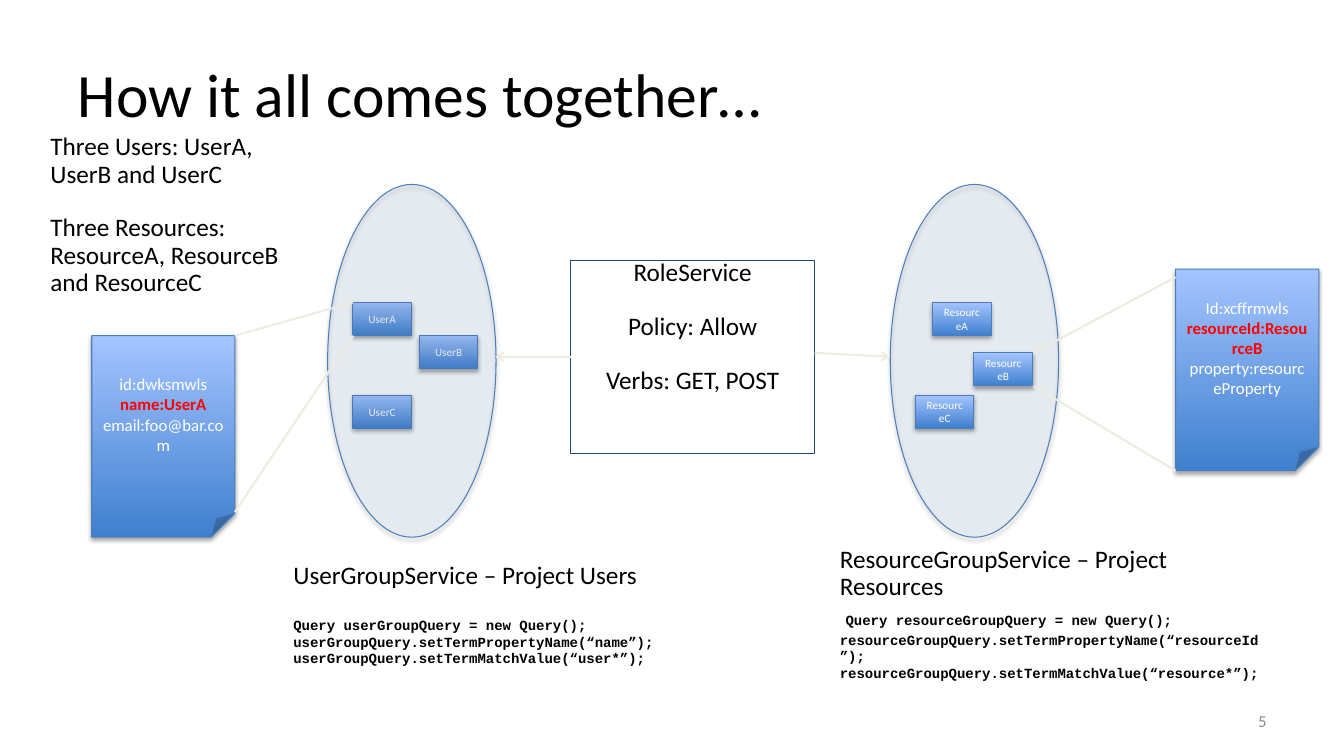
from collections import namedtuple

from lxml.etree import SubElement
from pptx import Presentation
from pptx.dml.color import RGBColor
from pptx.enum.shapes import MSO_CONNECTOR, MSO_SHAPE
from pptx.enum.text import MSO_ANCHOR, MSO_AUTO_SIZE, PP_ALIGN
from pptx.oxml.ns import qn
from pptx.util import Pt

EMU_PER_PX = 9144
TITLE_ONLY = 5
STRAIGHT = MSO_CONNECTOR.STRAIGHT
RECTANGLE, ELLIPSE, FOLDED = MSO_SHAPE.RECTANGLE, MSO_SHAPE.OVAL, MSO_SHAPE.FOLDED_CORNER
LEFT, CENTER, RIGHT = PP_ALIGN.LEFT, PP_ALIGN.CENTER, PP_ALIGN.RIGHT
TOP, MIDDLE = MSO_ANCHOR.TOP, MSO_ANCHOR.MIDDLE

BLACK = RGBColor(0x00, 0x00, 0x00)
WHITE = RGBColor(0xFF, 0xFF, 0xFF)
RED = RGBColor(0xFF, 0x00, 0x00)
GRAY = RGBColor(0x8C, 0x8C, 0x8C)
CREAM = RGBColor(0xEE, 0xEC, 0xE1)
NAVY = RGBColor(0x1F, 0x49, 0x7D)
BLUE = RGBColor(0x4F, 0x81, 0xBD)
OUTLINE = RGBColor(0x4B, 0x7E, 0xBC)
GRADIENT = (RGBColor(0x3F, 0x80, 0xCE), RGBColor(0xA4, 0xC4, 0xFF))

Font = namedtuple("Font", "size color name bold", defaults=("Calibri", False))
TITLE = Font(44, BLACK)
BODY = Font(18, BLACK)
CODE = Font(10, BLACK, "Courier New", True)
NODE = Font(8, WHITE)
FIELD = Font(12, WHITE)
KEY_FIELD = Font(12, RED, bold=True)
PAGE_NUMBER = Font(12, GRAY)

TIGHT = 0.9
BODY_GAP = 19
NODE_SIZE = (58, 33)
CARD_SIZE = (142, 200)
GROUP_SIZE = (167, 350)


def px(*lengths):
    return [length * EMU_PER_PX for length in lengths]


class DiagramPage:
    def __init__(self, deck):
        self.page = deck.slides.add_slide(deck.slide_layouts[TITLE_ONLY])

    def title(self, text, left, top, width, height):
        box = self.page.shapes.title
        box.left, box.top, box.width, box.height = px(left, top, width, height)
        box.text_frame.auto_size = MSO_AUTO_SIZE.NONE
        self.frame(box, MIDDLE)
        self.para(box, [(text, TITLE)])

    def frame(self, box, anchor, inset=None):
        frame = box.text_frame
        frame.word_wrap = True
        frame.vertical_anchor = anchor
        if inset is not None:
            frame.margin_left = frame.margin_right = inset
            frame.margin_top = frame.margin_bottom = inset

    def para(self, box, runs, align=LEFT, spacing=1.0, before=0):
        """Append a paragraph made of (text, font) runs."""
        para = box.text_frame.paragraphs[0]
        if para.runs:
            para = box.text_frame.add_paragraph()
        para.alignment = align
        para.line_spacing = spacing
        para.space_before = Pt(before)
        for text, font in runs:
            span = para.add_run()
            span.text = text
            span.font.size = Pt(font.size)
            span.font.name = font.name
            span.font.bold = font.bold
            span.font.color.rgb = font.color

    def text_box(self, left, top, width, height, anchor=TOP, inset=0):
        box = self.page.shapes.add_textbox(*px(left, top, width, height))
        self.frame(box, anchor, inset)
        return box

    def shape(self, kind, left, top, width, height, outline=OUTLINE):
        box = self.page.shapes.add_shape(kind, *px(left, top, width, height))
        box.shadow.inherit = False
        box.line.color.rgb = outline
        box.line.width = Pt(0.75)
        return box

    def shadow(self, box):
        effects = box.element.spPr.find(qn("a:effectLst"))
        shadow = SubElement(effects, qn("a:outerShdw"), blurRad=str(Pt(3.1)),
                            dist=str(Pt(1.8)), dir="5400000", rotWithShape="0")
        color = SubElement(shadow, qn("a:srgbClr"), val=str(BLACK))
        SubElement(color, qn("a:alpha"), val="35000")

    def gradient_shape(self, kind, left, top, size):
        box = self.shape(kind, left, top, *size)
        box.fill.gradient()
        box.fill.gradient_angle = 90
        for stop, color in zip(box.fill.gradient_stops, GRADIENT):
            stop.color.rgb = color
        self.shadow(box)
        self.frame(box, MIDDLE)
        return box

    def node(self, text, left, top):
        box = self.gradient_shape(RECTANGLE, left, top, NODE_SIZE)
        self.para(box, [(text, NODE)], CENTER)

    def card(self, fields, left, top):
        """Draw a folded note whose second field is the matched key."""
        box = self.gradient_shape(FOLDED, left, top, CARD_SIZE)
        box.text_frame.margin_bottom = px(25)[0]
        for text, font in zip(fields, (FIELD, KEY_FIELD, FIELD)):
            self.para(box, [(text, font)], CENTER)

    def group(self, left, top):
        """Draw the translucent ellipse around a set of nodes."""
        box = self.shape(ELLIPSE, left, top, *GROUP_SIZE)
        box.fill.solid()
        box.fill.fore_color.rgb = BLUE
        color = box.element.spPr.find(qn("a:solidFill")).find(qn("a:srgbClr"))
        SubElement(color, qn("a:alpha"), val="10000")
        self.shadow(box)

    def line(self, start, end, arrow=False):
        connector = self.page.shapes.add_connector(STRAIGHT, *px(*start, *end))
        connector.line.color.rgb = CREAM
        connector.line.width = Pt(1.5)
        properties = connector.element.spPr
        if arrow:
            SubElement(properties.find(qn("a:ln")), qn("a:tailEnd"), type="arrow")
        SubElement(properties, qn("a:effectLst"))


def main():
    deck = Presentation()
    deck.slide_width, deck.slide_height = px(1333, 750)
    diagram = DiagramPage(deck)

    diagram.title("How it all comes together…", 67, 30, 1200, 125)
    number = diagram.text_box(955, 695, 311, 40, MIDDLE, inset=px(10)[0])
    diagram.para(number, [("5", PAGE_NUMBER)], RIGHT)

    for name, left, top in (("UserA", 350, 300), ("UserB", 416, 333), ("UserC", 350, 392)):
        diagram.node(name, left, top)
    for left in (325, 883):
        diagram.group(left, 183)
    for name, left, top in (("ResourceA", 925, 300), ("ResourceB", 966, 350),
                            ("ResourceC", 908, 392)):
        diagram.node(name, left, top)

    users = diagram.text_box(291, 558, 425, 133)
    diagram.para(users, [("UserGroupService – Project Users", BODY)], spacing=TIGHT)
    diagram.para(users, [("Query userGroupQuery = new Query();", CODE)], before=BODY_GAP)
    diagram.para(users, [("userGroupQuery.setTermPropertyName(“name”);", CODE)])
    diagram.para(users, [("userGroupQuery.setTermMatchValue(“user*”);", CODE)])

    resources = diagram.text_box(833, 542, 417, 125)
    diagram.para(resources, [("ResourceGroupService – Project Resources", BODY)], spacing=TIGHT)
    diagram.para(resources, [(" ", BODY), ("Query resourceGroupQuery = new Query();", CODE)])
    diagram.para(resources, [("resourceGroupQuery.setTermPropertyName(“resourceId”);", CODE)])
    diagram.para(resources, [("resourceGroupQuery.setTermMatchValue(“resource*”);", CODE)])

    role = diagram.shape(RECTANGLE, 566, 258, 242, 192, NAVY)
    role.fill.background()
    diagram.frame(role, TOP, inset=0)
    summary = diagram.text_box(50, 133, 250, 250)
    for box, align, texts in (
        (role, CENTER, ("RoleService", "Policy: Allow", "Verbs: GET, POST")),
        (summary, LEFT, ("Three Users: UserA, UserB and UserC",
                         "Three Resources: ResourceA, ResourceB and ResourceC")),
    ):
        for index, text in enumerate(texts):
            diagram.para(box, [(text, BODY)], align, TIGHT, BODY_GAP if index else 0)

    diagram.line((566, 354), (491, 354), arrow=True)
    diagram.line((808, 350), (883, 354), arrow=True)

    diagram.card(("id:dwksmwls", "name:UserA", "email:foo@bar.com"), 91, 333)
    diagram.line((350, 300), (233, 333))
    diagram.line((350, 333), (233, 508))

    diagram.card(("Id:xcffrmwls", "resourceId:ResourceB", "property:resourceProperty"), 1166, 267)
    diagram.line((1025, 350), (1166, 275))
    diagram.line((1025, 383), (1166, 467))

    deck.save("out.pptx")


if __name__ == "__main__":
    main()
